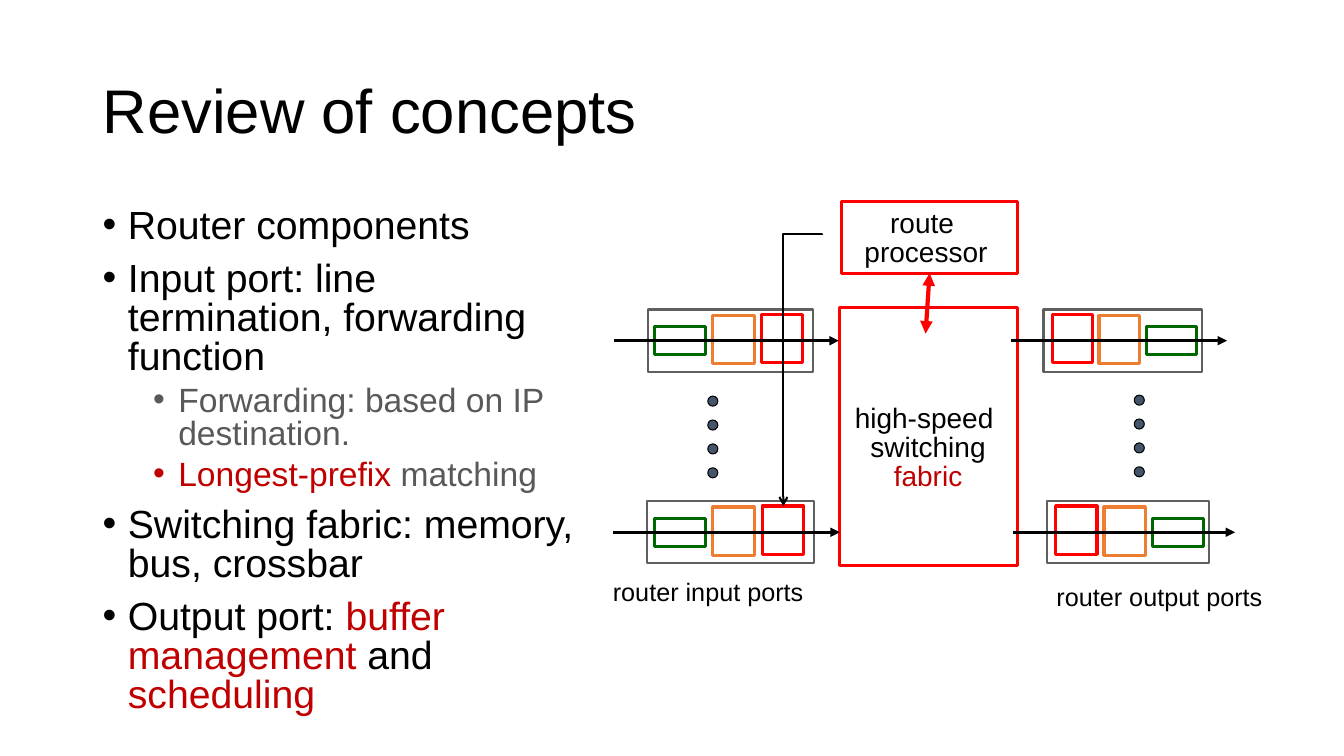
from lxml import etree
from pptx import Presentation
from pptx.dml.color import RGBColor
from pptx.enum.shapes import MSO_CONNECTOR, MSO_SHAPE
from pptx.enum.text import MSO_ANCHOR, PP_ALIGN
from pptx.oxml.ns import qn
from pptx.util import Inches, Pt

RECT, OVAL = MSO_SHAPE.RECTANGLE, MSO_SHAPE.OVAL
LINE, ELBOW = MSO_CONNECTOR.STRAIGHT, MSO_CONNECTOR.ELBOW
MIDDLE, TOP = MSO_ANCHOR.MIDDLE, MSO_ANCHOR.TOP
LEFT, CENTER = PP_ALIGN.LEFT, PP_ALIGN.CENTER

BLACK = RGBColor(0x00, 0x00, 0x00)
WHITE = RGBColor(0xFF, 0xFF, 0xFF)
RED = RGBColor(0xFF, 0x00, 0x00)
CRIMSON = RGBColor(0xC0, 0x00, 0x00)
GREEN = RGBColor(0x00, 0x66, 0x00)
ORANGE = RGBColor(0xED, 0x7D, 0x31)
SLATE = RGBColor(0x44, 0x54, 0x6A)
FRAME = RGBColor(0x5F, 0x5F, 0x5F)
GRAY = RGBColor(0x59, 0x59, 0x59)

# Level: font size, left indent, space before, text colour
LEVELS = [(28, 0.25, 10, BLACK), (24, 0.75, 5, GRAY)]
# Level, then runs with an optional colour of their own
POINTS = [
    (0, [("Router components", None)]),
    (0, [("Input port: line termination, forwarding function", None)]),
    (1, [("Forwarding: based on IP destination.", None)]),
    (1, [("Longest-prefix", CRIMSON), (" matching", None)]),
    (0, [("Switching fabric: memory, bus, crossbar", None)]),
    (0, [("Output port: ", None), ("buffer management", CRIMSON),
         (" and ", None), ("scheduling", CRIMSON)]),
]
# Frame left and width, wire start and end, lefts and width of
# the green, orange and red boxes, wire height
PORTS = [
    (6.43, 1.63, 6.09, 8.32, (6.49, 7.07, 7.55), 0.41, 3.38),
    (6.42, 1.65, 6.08, 8.33, (6.49, 7.07, 7.56), 0.41, 5.28),
    (10.35, 1.57, 10.03, 12.17, (11.37, 10.9, 10.44), 0.4, 3.38),
    (10.38, 1.61, 10.05, 12.25, (11.43, 10.95, 10.47), 0.41, 5.28),
]


def add_run(para, text, size, color):
    run = para.add_run()
    run.text = text
    look = {"name": "Arial", "size": Pt(size)}
    for key, value in look.items():
        setattr(run.font, key, value)
    run.font.color.rgb = color


def add_box(slide, left, top, width, height, wrap=True, anchor=TOP):
    box = slide.shapes.add_textbox(
        Inches(left), Inches(top), Inches(width), Inches(height))
    frame = box.text_frame
    look = {"word_wrap": wrap, "vertical_anchor": anchor}
    for key, value in look.items():
        setattr(frame, key, value)
    return frame


def add_para(frame, first, look):
    para = frame.paragraphs[0] if first else frame.add_paragraph()
    for key, value in look.items():
        setattr(para, key, value)
    return para


def add_label(slide, place, lines, size, align=LEFT, gap=1.0,
              wrap=False, anchor=TOP):
    frame = add_box(slide, *place, wrap, anchor)
    for index, (text, color) in enumerate(lines):
        para = add_para(frame, index == 0,
                        {"alignment": align, "line_spacing": gap})
        add_run(para, text, size, color)


def add_points(slide):
    frame = add_box(slide, 0.92, 2.02, 4.92, 5.34)
    for index, (level, runs) in enumerate(POINTS):
        size, indent, before, color = LEVELS[level]
        look = {"level": level, "line_spacing": 0.83,
                "space_before": Pt(before if index else 0)}
        para = add_para(frame, index == 0, look)
        props = para._p.get_or_add_pPr()
        props.set("marL", str(Inches(indent)))
        props.set("indent", str(Inches(-0.25)))
        etree.SubElement(props, qn("a:buFont"), typeface="Arial")
        etree.SubElement(props, qn("a:buChar"), char="•")
        for text, tint in runs:
            add_run(para, text, size, tint or color)


def add_shape(slide, kind, left, top, width, height, fill, color, weight):
    shape = slide.shapes.add_shape(
        kind, Inches(left), Inches(top), Inches(width), Inches(height))
    shape.shadow.inherit = False
    shape.fill.solid()
    shape.fill.fore_color.rgb = fill
    shape.line.color.rgb = color
    shape.line.width = Pt(weight)
    return shape


def add_wire(slide, kind, start, end, color, weight, **heads):
    wire = slide.shapes.add_connector(
        kind, *[Inches(value) for value in (*start, *end)])
    wire.line.color.rgb = color
    wire.line.width = Pt(weight)
    for side, style in heads.items():
        etree.SubElement(wire.line._get_or_add_ln(),
                         qn(f"a:{side}"), type=style)
    etree.SubElement(wire._element.spPr, qn("a:effectLst"))
    return wire


def add_port(slide, left, width, start, end, boxes, size, mid):
    add_shape(slide, RECT, left, mid - 0.31, width, 0.62, WHITE, FRAME, 1.5)
    parts = [(size + 0.1, 0.14, 0.28, GREEN), (size, 0.25, 0.48, ORANGE),
             (size, 0.26, 0.48, RED)]
    for box, (wide, rise, tall, color) in zip(boxes, parts):
        add_shape(slide, RECT, box, mid - rise, wide, tall,
                  WHITE, color, 2.25)
    add_wire(slide, LINE, (start, mid), (end, mid), BLACK, 2.25,
             tailEnd="triangle")


def add_dots(slide, left, top):
    for step in range(4):
        add_shape(slide, OVAL, left, top + 0.237 * step, 0.1, 0.1,
                  SLATE, BLACK, 0.75)


def add_turn(slide):
    # A quarter turn makes the elbow go left first and then down
    wire = add_wire(slide, ELBOW, (6.61, 3.48), (9.31, 3.86), BLACK, 1.5,
                    tailEnd="arrow")
    props = wire._element.spPr
    props.find(qn("a:xfrm")).set("rot", str(90 * 60000))
    guides = props.find(qn("a:prstGeom")).find(qn("a:avLst"))
    etree.SubElement(guides, qn("a:gd"), name="adj1", fmla="val -100")


def main():
    deck = Presentation()
    deck.slide_width, deck.slide_height = Inches(13.33), Inches(7.5)
    slide = deck.slides.add_slide(deck.slide_layouts[6])

    # Title and bullet list
    add_label(slide, (0.92, 0.4, 11.5, 1.45), [("Review of concepts", BLACK)],
              44, gap=0.9, wrap=True, anchor=MIDDLE)
    add_points(slide)

    # Switching fabric and route processor
    add_shape(slide, RECT, 8.33, 3.05, 1.76, 2.56, WHITE, RED, 2.25)
    add_label(slide, (8.37, 3.98, 1.67, 0.97),
              [("high-speed ", BLACK), ("switching", BLACK),
               ("fabric", CRIMSON)], 20, CENTER, 0.85)
    brain = add_shape(slide, RECT, 8.35, 2, 1.74, 0.71, WHITE, RED, 2.25)
    add_label(slide, (8.47, 2.04, 1.43, 0.68),
              [("route ", BLACK), ("processor", BLACK)], 20, CENTER, 0.85)
    link = add_wire(slide, LINE, (9.21, 2.72), (9.18, 3.31), RED, 3,
                    headEnd="triangle", tailEnd="triangle")
    link.begin_connect(brain, 2)

    # Input and output ports
    for port in PORTS:
        add_port(slide, *port)
    add_dots(slide, 7.02, 3.93)
    add_dots(slide, 11.25, 3.92)
    add_label(slide, (5.98, 5.67, 2.09, 0.4),
              [("router input ports", BLACK)], 18)
    add_label(slide, (10.38, 5.72, 2.24, 0.4),
              [("router output ports", BLACK)], 18)

    # Path from the processor to the lower input port
    add_turn(slide)
    deck.save("out.pptx")


if __name__ == "__main__":
    main()
